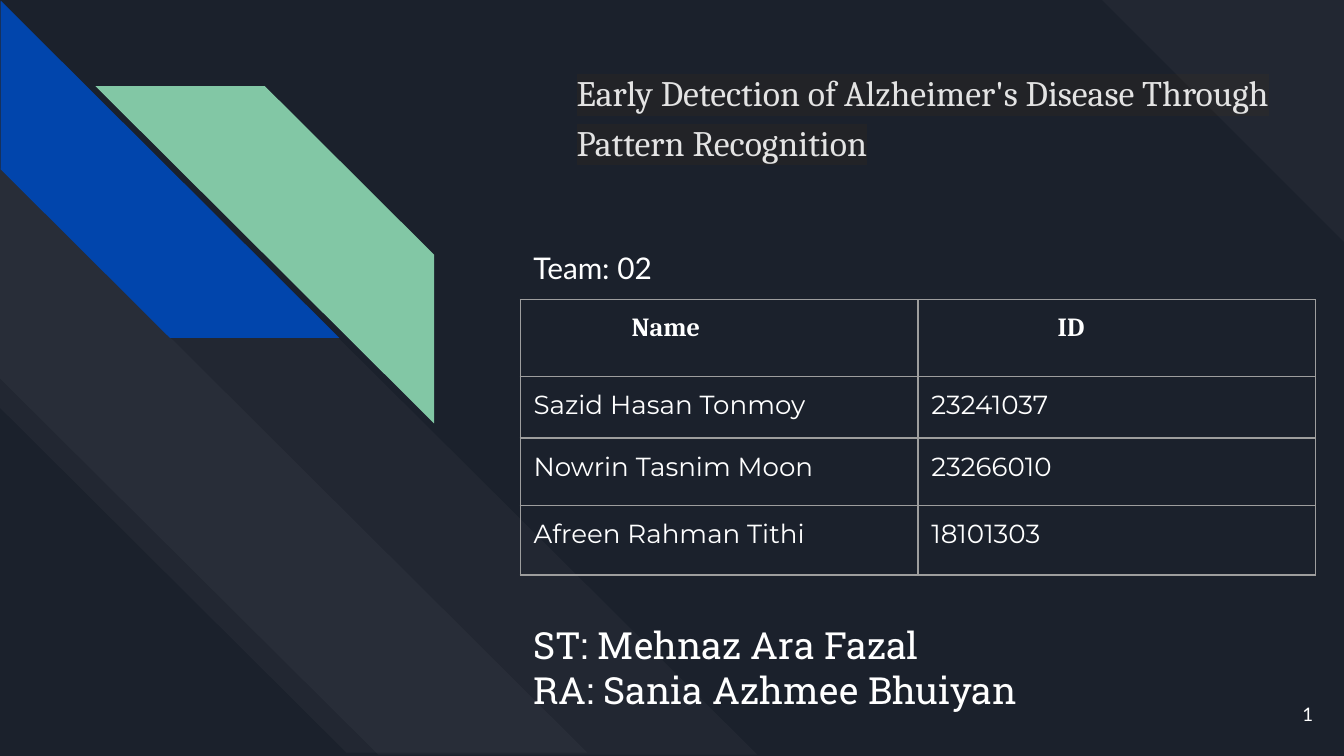
from lxml import etree
from pptx import Presentation, util as u
from pptx.dml.color import RGBColor
from pptx.enum import shapes, text
from pptx.oxml import parse_xml
from pptx.oxml.ns import nsdecls, qn

COLORS = {
    "background": "1B212C", "white": "FFFFFF", "blue": "0145AC", "green": "82C7A5",
    "title": "E3E3E3", "highlight": "222327", "border": "9E9E9E",
}
COLUMNS, ROWS = 100, 56.25
TITLE = {"name": "Cambria", "size": u.Pt(19.2), "bold": False}
HEADER = {"name": "Cambria", "size": u.Pt(14), "bold": True}
MEMBER = {"name": "Montserrat", "size": u.Pt(14), "bold": False}
STAFF = {"name": "Roboto Slab", "size": u.Pt(20)}
TEAM = {"name": "Lato", "size": u.Pt(16)}
NUMBER = {"name": "Lato", "size": u.Pt(10)}


class SlideBuilder:
    def __init__(self):
        self.presentation = Presentation()
        self.presentation.slide_width = u.Inches(10)
        self.presentation.slide_height = u.Inches(5.625)
        self.slide = self.presentation.slides.add_slide(self.presentation.slide_layouts[5])
        fill = self.slide.background.fill
        fill.solid()
        fill.fore_color.rgb = self.color("background")

    def color(self, name):
        return RGBColor.from_string(COLORS[name])

    def across(self, columns):
        return round(self.presentation.slide_width * columns / COLUMNS)

    def down(self, rows):
        return round(self.presentation.slide_height * rows / ROWS)

    def area(self, left, top, width, height):
        return self.across(left), self.down(top), self.across(width), self.down(height)

    def stripe(self, area, color, ratio, rotation=0, flip=False, opacity=None):
        shape = self.slide.shapes.add_shape(shapes.MSO_SHAPE.DIAGONAL_STRIPE, *self.area(*area))
        shape.adjustments[0] = ratio
        shape.rotation = rotation
        shape.shadow.inherit = False
        shape.line.fill.background()
        shape.fill.solid()
        shape.fill.fore_color.rgb = self.color(color)
        properties = shape.element.spPr
        if flip:
            properties.find(qn("a:xfrm")).set("flipH", "1")
        if opacity:
            shade = properties.find(qn("a:solidFill"))[0]
            etree.SubElement(shade, qn("a:alpha")).set("val", str(opacity * 1000))

    def fill_text(self, frame, lines, style, color="white", align=text.PP_ALIGN.LEFT):
        frame.text = "\n".join(lines)
        for paragraph in frame.paragraphs:
            paragraph.alignment = align
            for run in paragraph.runs:
                for name, value in style.items():
                    setattr(run.font, name, value)
                run.font.color.rgb = self.color(color)

    def prepare(self, frame, anchor):
        settings = {"word_wrap": True, "auto_size": text.MSO_AUTO_SIZE.NONE,
                    "vertical_anchor": anchor}
        settings.update({f"margin_{side}": u.Inches(0.1)
                         for side in ("left", "right", "top", "bottom")})
        for name, value in settings.items():
            setattr(frame, name, value)

    def title(self, area, words):
        shape = self.slide.shapes.title
        shape.left, shape.top, shape.width, shape.height = self.area(*area)
        self.prepare(shape.text_frame, text.MSO_ANCHOR.TOP)
        self.fill_text(shape.text_frame, [words], TITLE, "title")
        paragraph = shape.text_frame.paragraphs[0]
        spacing = {"line_spacing": 1.15, "space_before": u.Pt(18), "space_after": u.Pt(4)}
        for name, value in spacing.items():
            setattr(paragraph, name, value)
        highlight = parse_xml(
            f'<a:highlight {nsdecls("a")}><a:srgbClr val="{COLORS["highlight"]}"/></a:highlight>')
        paragraph.runs[0].font._element.find(qn("a:solidFill")).addnext(highlight)

    def text_box(self, area, lines, style, align=text.PP_ALIGN.LEFT, anchor=text.MSO_ANCHOR.TOP):
        frame = self.slide.shapes.add_textbox(*self.area(*area)).text_frame
        self.prepare(frame, anchor)
        self.fill_text(frame, lines, style, align=align)

    def border(self, cell):
        properties = cell._tc.get_or_add_tcPr()
        for index, side in enumerate(("lnL", "lnR", "lnT", "lnB")):
            properties.insert(index, parse_xml(
                f'<a:{side} {nsdecls("a")} w="{u.Pt(0.75)}"><a:solidFill>'
                f'<a:srgbClr val="{COLORS["border"]}"/></a:solidFill></a:{side}>'))

    def table(self, left, top, widths, heights, records, header_margins):
        area = self.area(left, top, sum(widths), sum(heights))
        table = self.slide.shapes.add_table(len(heights), len(widths), *area).table
        table.first_row = table.horz_banding = False
        for column, width in zip(table.columns, widths):
            column.width = self.across(width)
        for row, height in zip(table.rows, heights):
            row.height = self.down(height)
        for row, record in enumerate(records):
            for column, words in enumerate(record):
                cell = table.cell(row, column)
                cell.fill.background()
                for side in ("left", "right", "top", "bottom"):
                    setattr(cell, f"margin_{side}", u.Inches(0.1))
                if row == 0:
                    cell.margin_left = self.across(header_margins[column])
                self.fill_text(cell.text_frame, [words], MEMBER if row else HEADER)
                self.border(cell)


def main():
    builder = SlideBuilder()
    builder.stripe((82, 0, 18, 18), "white", 0, rotation=90, opacity=3)
    builder.stripe((0.1, -0.1, 56.1, 56.4), "white", 0.5, rotation=270, opacity=3)
    builder.stripe((0.1, 12.4, 43.5, 43.7), "white", 0.59, rotation=270, opacity=3)
    builder.stripe((0.1, 0, 25.1, 25.2), "blue", 0.5, rotation=270)
    builder.stripe((7.1, 6.4, 25.2, 25.1), "green", 0.5, flip=True)
    builder.title((41.9, 3.8, 56, 13.2),
                  "Early Detection of Alzheimer's Disease Through Pattern Recognition")
    builder.table(38.7, 22.3, [29.6, 29.6], [5.7, 4.6, 5, 5.2], [
        ("Name", "ID"),
        ("Sazid Hasan Tonmoy", "23241037"),
        ("Nowrin Tasnim Moon", "23266010"),
        ("Afreen Rahman Tithi", "18101303"),
    ], header_margins=[8.3, 10.4])
    builder.text_box((38.7, 45.3, 54.4, 8.8),
                     ["ST: Mehnaz Ara Fazal", "RA: Sania Azhmee Bhuiyan"], STAFF)
    builder.text_box((38.7, 17.6, 51.5, 4.7), ["Team: 02"], TEAM)
    builder.text_box((92.7, 51, 6, 4.3), ["1"], NUMBER,
                     text.PP_ALIGN.RIGHT, text.MSO_ANCHOR.MIDDLE)
    builder.presentation.save("out.pptx")


if __name__ == "__main__":
    main()
